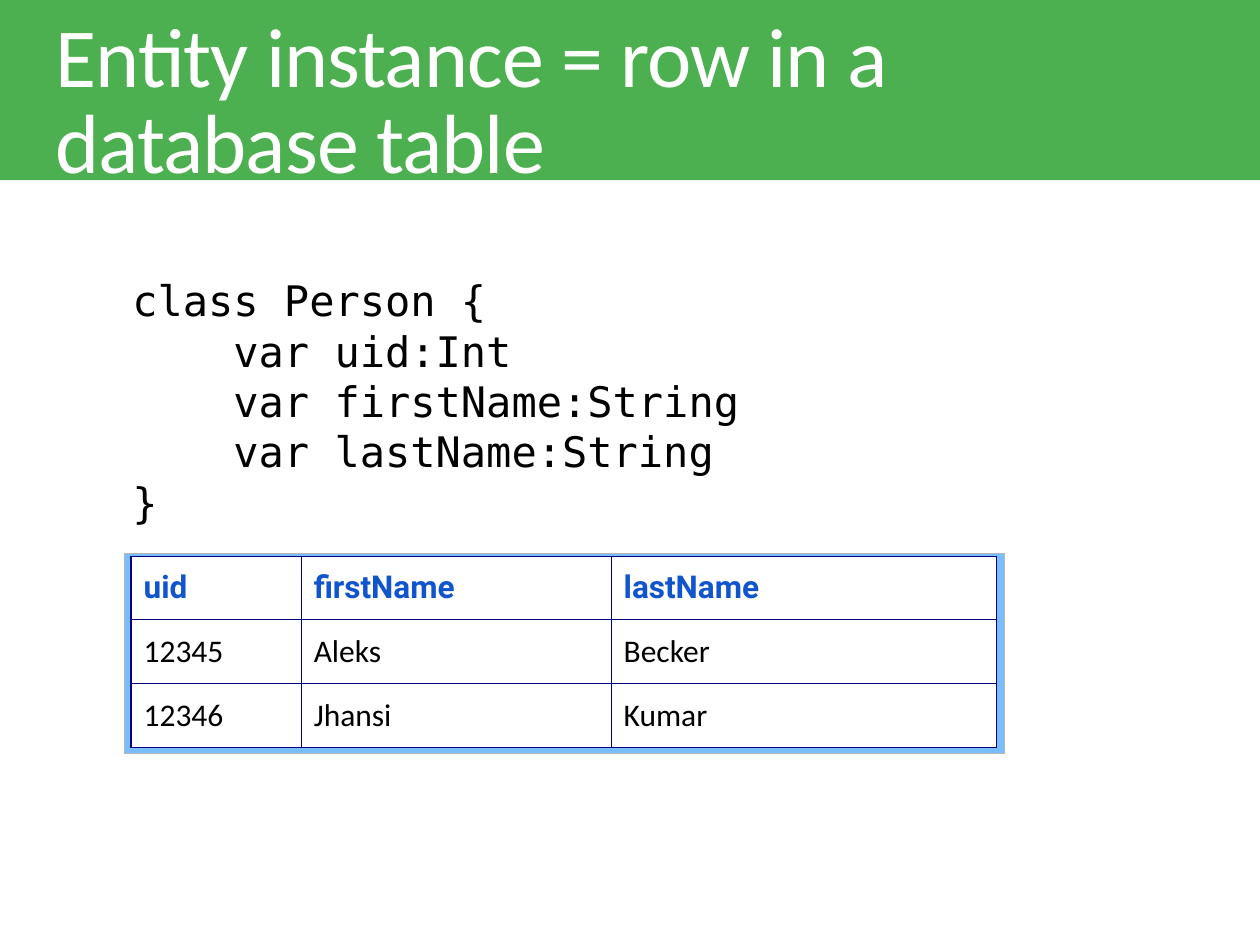
from lxml import etree
from pptx import Presentation
from pptx.dml.color import RGBColor
from pptx.enum.shapes import MSO_SHAPE
from pptx.enum.text import MSO_ANCHOR, MSO_AUTO_SIZE, PP_ALIGN
from pptx.oxml.ns import qn
from pptx.util import Inches, Pt

RECT, TOP, LEFT, NO_FIT = MSO_SHAPE.RECTANGLE, MSO_ANCHOR.TOP, PP_ALIGN.LEFT, MSO_AUTO_SIZE.NONE

TITLE = "Entity instance = row in a database table"
CODE = [
    "class Person {",
    "    var uid:Int",
    "    var firstName:String",
    "    var lastName:String",
    "}",
]
ROWS = [
    ("uid", "firstName", "lastName"),
    ("12345", "Aleks", "Becker"),
    ("12346", "Jhansi", "Kumar"),
]
COL_WIDTHS = (1.35, 2.46, 3.06)
ROW_HEIGHT = 0.5
BORDER = "000080"

TITLE_FONT = dict(name="Calibri", size=Pt(48), color="FFFFFF")
CODE_FONT = dict(name="DejaVu Sans Mono", size=Pt(24), color="000000")
HEAD_FONT = dict(name="Roboto", size=Pt(18), bold=True, color="1155CC")
CELL_FONT = dict(name="Calibri", size=Pt(18), bold=False, color="000000")


def rgb(value):
    """Turn a hex string into a colour."""
    return RGBColor.from_string(value)


def style(font, fmt):
    """Set font attributes from a dict of format values."""
    for key, value in fmt.items():
        if key == "color":
            font.color.rgb = rgb(value)
        else:
            setattr(font, key, value)


def add_rect(s, box, fill, line=None):
    """Add a flat rectangle."""
    sp = s.shapes.add_shape(RECT, *map(Inches, box))
    sp.shadow.inherit = False
    sp.fill.solid()
    sp.fill.fore_color.rgb = rgb(fill)
    if line:
        sp.line.color.rgb = rgb(line)
        sp.line.width = Pt(0.75)
    else:
        sp.line.fill.background()


def fill_placeholder(sp, box, lines, fmt, spacing):
    """Move a placeholder and write its paragraphs without bullets."""
    sp.left, sp.top, sp.width, sp.height = map(Inches, box)
    tf = sp.text_frame
    tf.word_wrap, tf.auto_size, tf.vertical_anchor = True, NO_FIT, TOP
    tf.margin_left = tf.margin_right = tf.margin_top = tf.margin_bottom = Inches(0.1)
    for i, line in enumerate(lines):
        p = tf.add_paragraph() if i else tf.paragraphs[0]
        p.alignment, p.line_spacing = LEFT, spacing
        p.space_before = p.space_after = Pt(0)
        pPr = p._p.get_or_add_pPr()
        pPr.set("marL", "0")
        pPr.set("indent", "0")
        etree.SubElement(pPr, qn("a:buNone"))
        r = p.add_run()
        r.text = line
        style(r.font, fmt)


def add_borders(cell):
    """Draw a thin line on all four sides of a cell."""
    tcPr = cell._tc.get_or_add_tcPr()
    for i, side in enumerate(("lnL", "lnR", "lnT", "lnB")):
        ln = etree.Element(qn(f"a:{side}"), w=str(Pt(0.75)))
        fill = etree.SubElement(ln, qn("a:solidFill"))
        etree.SubElement(fill, qn("a:srgbClr"), val=BORDER)
        tcPr.insert(i, ln)


def add_person_table(s, left, top):
    """Add the table of persons."""
    size = sum(COL_WIDTHS), ROW_HEIGHT * len(ROWS)
    table = s.shapes.add_table(len(ROWS), len(COL_WIDTHS), *map(Inches, (left, top, *size))).table
    for col, width in zip(table.columns, COL_WIDTHS):
        col.width = Inches(width)
    for i, row in enumerate(ROWS):
        for j, text in enumerate(row):
            cell = table.cell(i, j)
            cell.margin_left = cell.margin_right = cell.margin_top = cell.margin_bottom = Inches(0.1)
            cell.fill.solid()
            cell.fill.fore_color.rgb = rgb("FFFFFF")
            add_borders(cell)
            r = cell.text_frame.paragraphs[0].add_run()
            r.text = text
            style(r.font, CELL_FONT if i else HEAD_FONT)


def main():
    """Build the slide."""
    prs = Presentation()
    prs.slide_width, prs.slide_height = Inches(10), Inches(7.5)
    s = prs.slides.add_slide(prs.slide_layouts[1])
    title, body = s.placeholders
    add_rect(s, (-0.01, -0.06, 10.01, 1.49), "4CAF50")
    band = s.shapes[-1]._element
    title._element.addprevious(band)
    fill_placeholder(title, (0.34, 0.05, 9.32, 0.63), [TITLE], TITLE_FONT, 0.85)
    title.text_frame.paragraphs[0].runs[0].font._element.set("spc", "-50")
    fill_placeholder(body, (0.95, 2.08, 6.87, 2.22), CODE, CODE_FONT, 1.0)
    add_rect(s, (0.99, 4.39, 6.98, 1.59), "77BDFF", "B7B7B7")
    add_person_table(s, 1.04, 4.42)
    prs.save("out.pptx")


if __name__ == "__main__":
    main()
